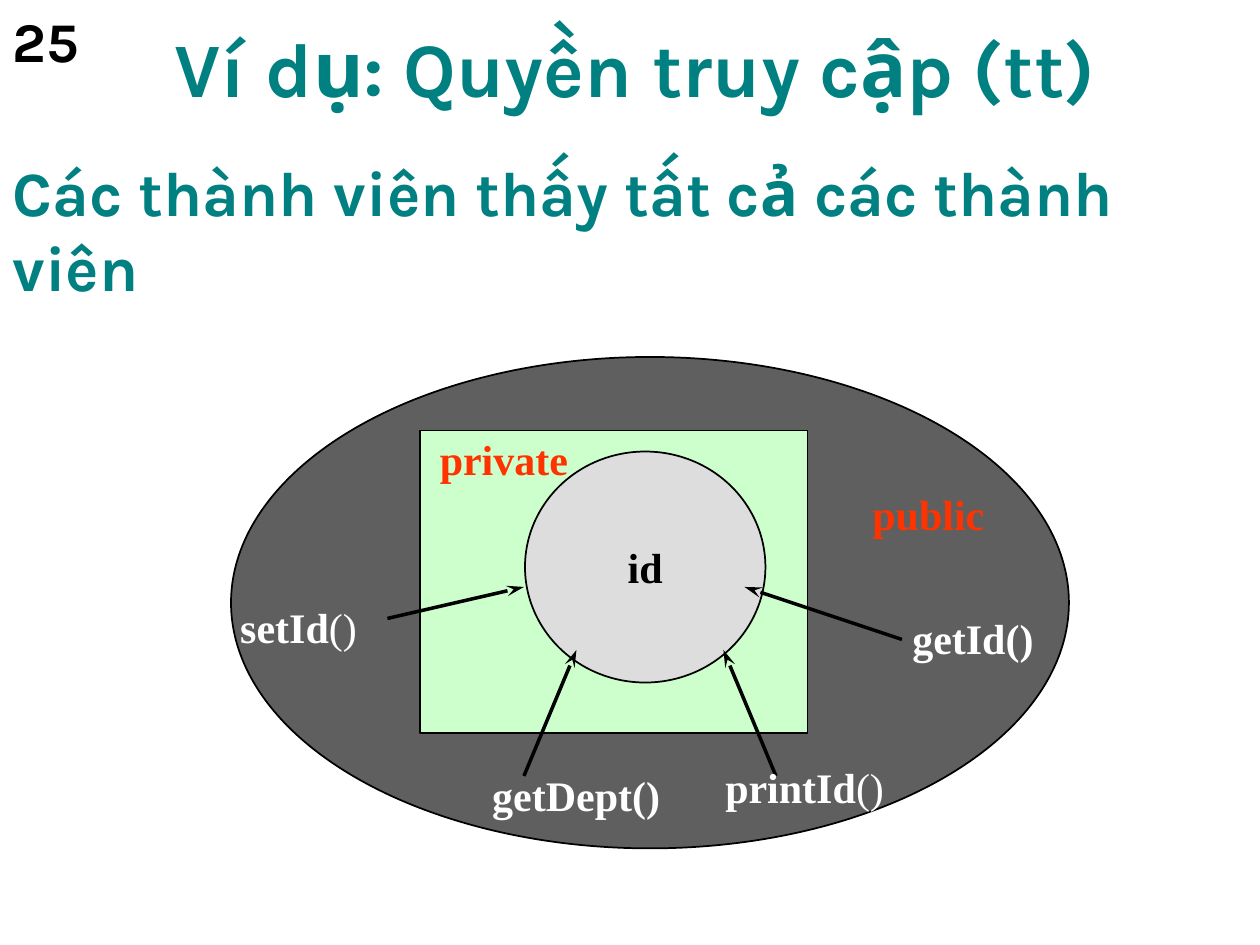
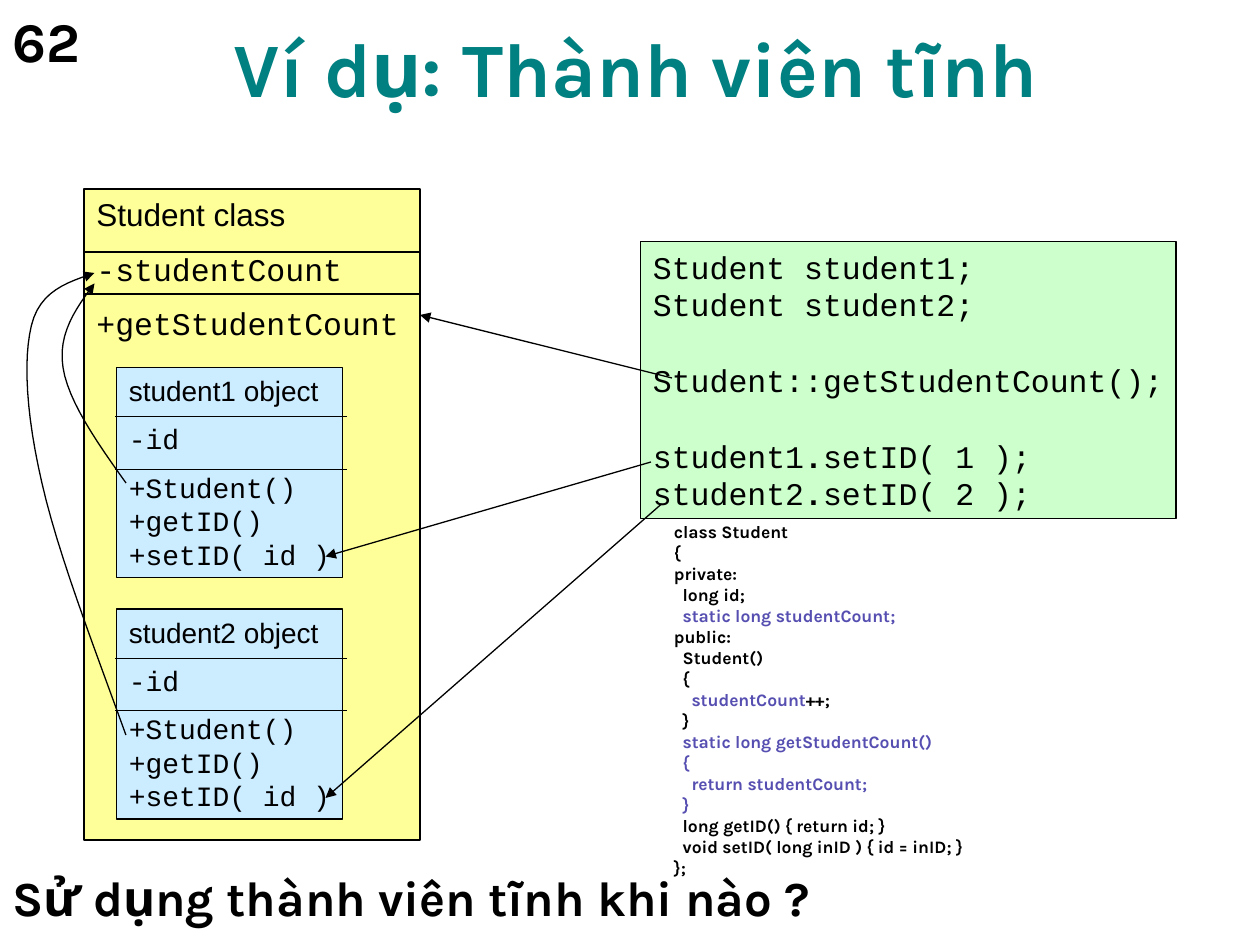
from lxml.etree import SubElement
from pptx import Presentation
from pptx.dml.color import RGBColor
from pptx.enum.shapes import MSO_CONNECTOR as LINK, MSO_SHAPE as SHAPE
from pptx.enum.text import MSO_ANCHOR as ANCHOR, MSO_AUTO_SIZE as FIT, PP_ALIGN as ALIGN
from pptx.oxml.ns import qn
from pptx.util import Inches, Pt

# Shared style
C = {
    "teal": "008080", "black": "000000", "white": "FFFFFF", "red": "FF3300",
    "dark": "5F5F5F", "grey": "DDDDDD", "green": "CCFFCC", "yellow": "FFFF99",
    "blue": "CCECFF", "purple": "564FB1",
}
HEAD, SERIF, SANS, MONO = "Karla", "Times New Roman", "Arial", "Courier New"
LINE_HEIGHT = 1.2

# The slide is a grid of 120 columns by 90 rows
prs = Presentation()
prs.slide_width, prs.slide_height = Inches(10), Inches(7.5)
CELL = prs.slide_width // 120


def outline(sp, width, arrow=None, length="med"):
    """Black line without shadow, with an optional arrowhead at its end."""
    sp.line.color.rgb = RGBColor.from_string(C["black"])
    sp.line.width = Pt(width)
    sp_pr = sp._element.spPr
    if arrow:
        SubElement(sp_pr.find(qn("a:ln")), qn("a:tailEnd"), type=arrow, len=length)
    SubElement(sp_pr, qn("a:effectLst"))


def add_box(s, at, lines=(), size=18, font=HEAD, color="black", bold=False,
            kind=None, fill=None, width=1, wrap=True, anchor=ANCHOR.TOP, align=ALIGN.LEFT):
    """Text box, or a filled shape of the given kind; a line is a string or a list of
    (text, bold, colour) runs."""
    at = [round(v * CELL) for v in at]
    if kind is None:
        sp = s.shapes.add_textbox(*at)
    else:
        sp = s.shapes.add_shape(kind, *at)
        sp.fill.solid()
        sp.fill.fore_color.rgb = RGBColor.from_string(C[fill])
        outline(sp, width)
    tf = sp.text_frame
    tf.word_wrap, tf.vertical_anchor = wrap, anchor
    for i, line in enumerate(lines):
        p = tf.add_paragraph() if i else tf.paragraphs[0]
        p.alignment = align
        p.font.name, p.font.size, p.font.bold = font, Pt(size), bold
        p.font.color.rgb = RGBColor.from_string(C[color])
        for text, run_bold, run_color in [(line, bold, color)] if isinstance(line, str) else line:
            r = p.add_run()
            r.text = text
            if run_bold != bold:
                r.font.bold = run_bold
            if run_color != color:
                r.font.color.rgb = RGBColor.from_string(C[run_color])
    return tf.paragraphs


# Titles and slide numbers
slides = []
for title, number in [("Ví dụ: Quyền truy cập (tt)", "25"), ("Ví dụ: Thành viên tĩnh", "62")]:
    s = prs.slides.add_slide(prs.slide_layouts[5])
    sp = s.shapes.title
    sp.left, sp.top, sp.width, sp.height = [round(v * CELL) for v in (4, 2, 113, 9.4)]
    tf = sp.text_frame
    tf.text = title
    tf.auto_size, tf.vertical_anchor = FIT.NONE, ANCHOR.BOTTOM
    p = tf.paragraphs[0]
    p.alignment = ALIGN.CENTER
    p.font.name, p.font.size, p.font.bold = HEAD, Pt(44), True
    p.font.color.rgb = RGBColor.from_string(C["teal"])
    add_box(s, (0, 0, 13, 8.5), [number], 32, bold=True)
    slides.append(s)
access, static = slides

# Access slide: heading and nested scopes
add_box(access, (0, 20, 120, 9.6), ["Các thành viên thấy tất cả các thành viên"],
        36, color="teal", bold=True, anchor=ANCHOR.BOTTOM)
add_box(access, (22, 34, 79.8, 46.8), kind=SHAPE.OVAL, fill="dark")
add_box(access, (40, 41, 36.9, 28.8), kind=SHAPE.RECTANGLE, fill="green")
add_box(access, (50, 43, 22.9, 22), ["id"], 24, SERIF, bold=True, kind=SHAPE.OVAL,
        fill="grey", wrap=False, anchor=ANCHOR.MIDDLE, align=ALIGN.CENTER)

# Access slide: arrows from the methods to id
for x1, y1, x2, y2 in [(49.9, 73.9, 54.9, 61.9), (85.9, 60.9, 70.9, 55.9),
                       (36.9, 58.9, 49.9, 55.9), (73.9, 73.9, 68.9, 61.9)]:
    link = access.shapes.add_connector(
        LINK.STRAIGHT, *[round(v * CELL) for v in (x1, y1, x2, y2)])
    outline(link, 2, "stealth", "lg")

# Access slide: labels, each box a little wider than its text
for x, y, w, label, color in [
    (45.7, 72.7, 19, [("getDept()", True, "white")], "white"),
    (21.7, 56.7, 14.5, [("setId", True, "white"), ("()", False, "white")], "white"),
    (85.7, 57.7, 15, [("getId()", True, "white")], "white"),
    (67.9, 71.9, 18, [("printId", True, "white"), ("()", False, "white")], "white"),
    (40.7, 40.7, 15.5, [("private", True, "red")], "red"),
    (81.9, 45.9, 14, [("public", True, "red")], "red"),
]:
    add_box(access, (x, y, w, 6), [label], 24, SERIF, color, bold=True)

# Static slide: class box and calling code
ps = add_box(static, (8, 18, 32, 62), ["Student class", "-studentCount", "+getStudentCount"],
             18, MONO, kind=SHAPE.RECTANGLE, fill="yellow", width=0.75)
ps[0].font.name = SANS
for p in ps[1:]:
    p.space_before = Pt(8 * LINE_HEIGHT)

calls = ["Student student1;", "Student student2;", "Student::getStudentCount();"]
calls += [[(f"student{n}", False, "black"), (".", True, "black"),
           (f"setID( {n} );", False, "black")] for n in (1, 2)]
ps = add_box(static, (61, 23, 51, 26.4), calls, 18, MONO, kind=SHAPE.RECTANGLE,
             fill="green", width=0.75, wrap=False)
for p in ps[2:4]:
    p.space_before = Pt(18 * LINE_HEIGHT)

# Static slide: one box per object, 23 rows apart
rules = [(8, 24, 40, 24), (8, 28, 40, 28)]
for n in (1, 2):
    top = 12 + 23 * n
    ps = add_box(static, (11.1, top, 21.5, 20),
                 [f"student{n} object", "-id", "+Student()", "+getID()", "+setID( id )"],
                 16, MONO, kind=SHAPE.RECTANGLE, fill="blue", width=0.75, wrap=False)
    ps[0].font.name = SANS
    for p in ps[1:3]:
        p.space_before = Pt(7 * LINE_HEIGHT)
    rules += [(11, top + dy, 33, top + dy) for dy in (4.7, 9.7)]

# Static slide: dividers and call arrows
arrows = [(64, 36, 40, 30), (62, 44, 31, 53), (63, 48, 31, 76)]
for ends in rules + arrows:
    link = static.shapes.add_connector(LINK.STRAIGHT, *[round(v * CELL) for v in ends])
    outline(link, 0.75, "triangle" if ends in arrows else None)

# Static slide: curved arrows, each a chain of cubic Bézier pieces
STEPS = 12
for knots in [
    [(12, 46), (9.2, 42.1), (6.5, 38.2), (6, 35), (5.5, 31.8), (7.2, 29.4), (9, 27)],
    [(12, 70), (8.8, 61.2), (5.5, 52.6), (4, 46), (2.5, 39.5), (2.2, 34.3), (3, 31),
     (3.8, 27.7), (6.4, 26.9), (9, 26)],
]:
    points = []
    for k in range(0, len(knots) - 1, 3):
        for t in [step / STEPS for step in range(1, STEPS + 1)]:
            weights = ((1 - t) ** 3, 3 * t * (1 - t) ** 2, 3 * t * t * (1 - t), t ** 3)
            points.append([sum(w * v for w, v in zip(weights, axis)) * CELL
                           for axis in zip(*knots[k:k + 4])])
    start_x, start_y = knots[0]
    builder = static.shapes.build_freeform(start_x * CELL, start_y * CELL)
    builder.add_line_segments(points, close=False)
    curve = builder.convert_to_shape()
    curve.fill.background()
    outline(curve, 0.75, "triangle")

# Static slide: class source, static members in purple
source = [
    "class Student",
    "{",
    "private:",
    "  long id;",
    "  static long studentCount;",
    "public:",
    "  Student()",
    "  {",
    [("    ", True, "black"), ("studentCount", True, "purple"), ("++;", True, "black")],
    "  }",
    "  static long getStudentCount()",
    "  {",
    "    return studentCount;",
    "  }",
    "  long getID() { return id; }",
    "  void setID( long inID ) { id = inID; }",
    "};",
]
ps = add_box(static, (63, 49, 51, 38.3), source, 10, bold=True)
for i in (4, 10, 11, 12, 13):
    ps[i].font.color.rgb = RGBColor.from_string(C["purple"])

# Static slide: closing question
add_box(static, (0, 82, 92, 6.8), ["Sử dụng thành viên tĩnh khi nào ?"], 28, bold=True)

prs.save("out.pptx")
